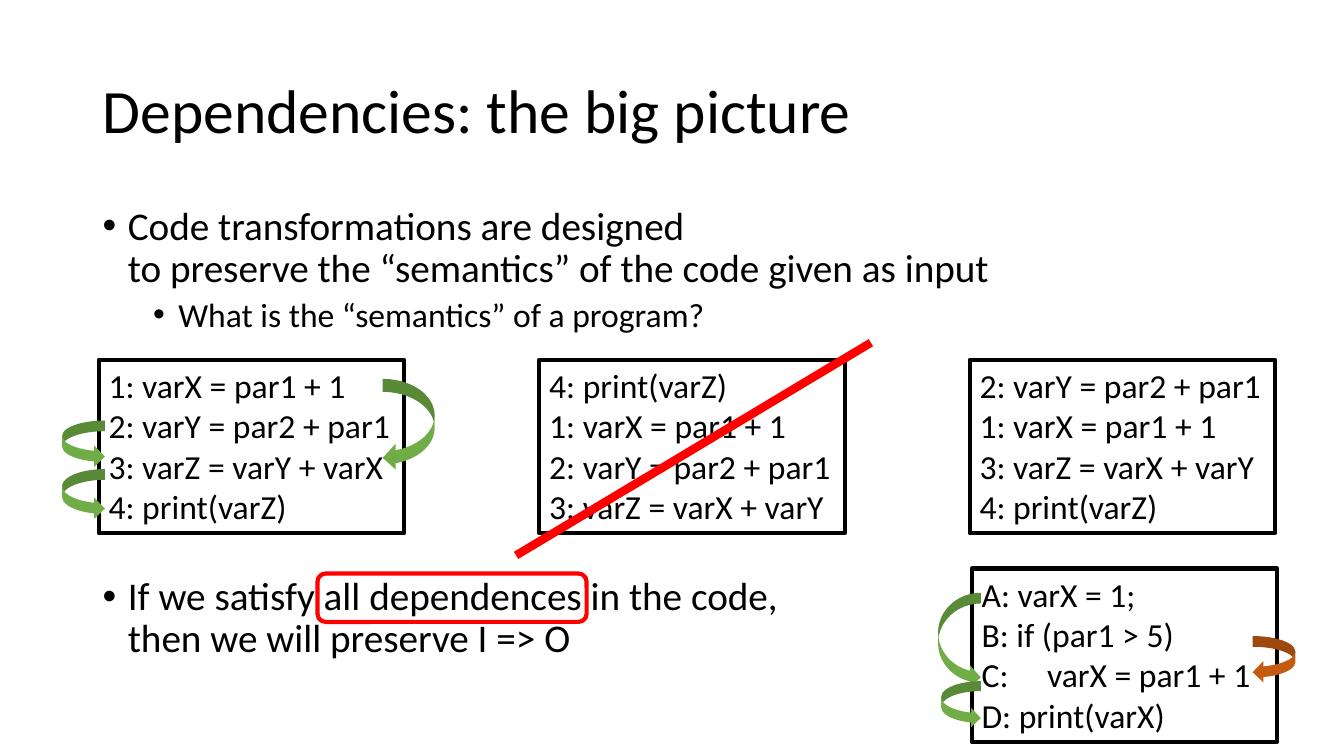
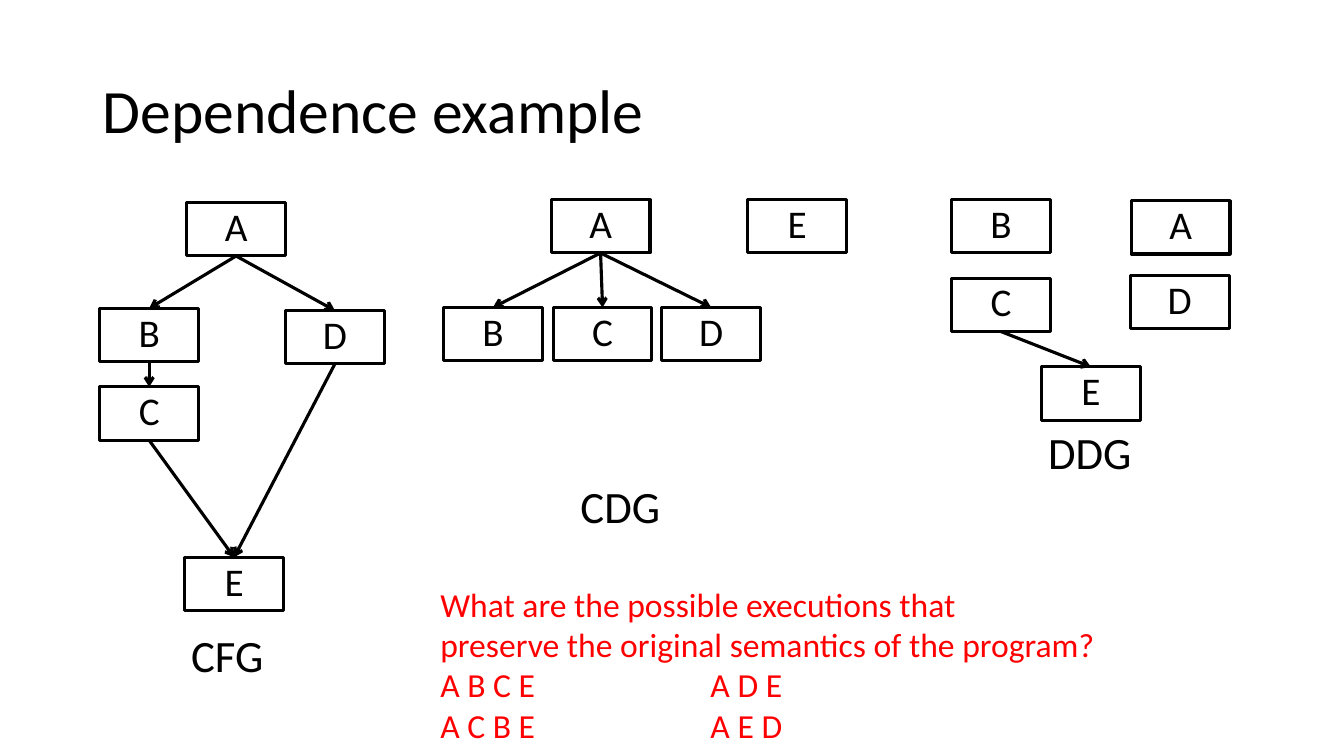
from dataclasses import dataclass

from lxml import etree
from pptx import Presentation
from pptx import util as u
from pptx.dml.color import RGBColor
from pptx.enum import shapes, text
from pptx.oxml.ns import qn


@dataclass(frozen=True)
class Theme:
    font: str = "Calibri"
    ink: str = "000000"
    accent: str = "FF0000"
    data: str = "70AD47"
    control: str = "C55A11"
    title: float = 44
    label: float = 32
    body: float = 28
    code: float = 24
    thin: float = 2.25
    medium: float = 3
    thick: float = 6


@dataclass(frozen=True)
class Box:
    """A rectangle in cells of the slide grid."""
    left: float
    top: float
    width: float
    height: float

    def share(self, x, y, width, height):
        return Box(self.left + x * self.width, self.top + y * self.height,
                   width * self.width, height * self.height)

    def emu(self):
        return [cells(n) for n in (self.left, self.top, self.width, self.height)]


THEME = Theme()
COLUMNS, ROWS = 40, 22.5
CELL = u.Inches(13.333) / COLUMNS
TITLE = Box(2.76, 1.2, 34.5, 4.35)
BODY = Box(2.76, 6, 34.5, 14.28)
CODE_WIDTH, CODE_HEIGHT = 9.09, 5.16
NODE_WIDTH, NODE_HEIGHT = 2.94, 1.59
LABEL_WIDTH, LABEL_HEIGHT = 3.12, 1.92
KIND = shapes.MSO_SHAPE


def cells(count):
    return u.Emu(round(count * CELL))


def color(value):
    return RGBColor.from_string(value)


# Text
def write(frame, lines, size, ink=THEME.ink, align="LEFT", anchor="TOP",
          spacing=None, wrap=True, tab=None):
    frame.word_wrap = wrap
    frame.vertical_anchor = getattr(text.MSO_ANCHOR, anchor)
    for index, line in enumerate(lines):
        paragraph = frame.paragraphs[0] if index == 0 else frame.add_paragraph()
        paragraph.text = line
        paragraph.alignment = getattr(text.PP_ALIGN, align)
        if spacing:
            paragraph.line_spacing = spacing
        for run in paragraph.runs:
            run.font.name = THEME.font
            run.font.size = u.Pt(size)
            run.font.color.rgb = color(ink)
        if tab and "\t" in line:
            stops = etree.SubElement(paragraph._p.get_or_add_pPr(), qn("a:tabLst"))
            etree.SubElement(stops, qn("a:tab"), pos=str(cells(tab)), algn="l")


def add_text(slide, box, lines, size, **style):
    shape = slide.shapes.add_textbox(*box.emu())
    write(shape.text_frame, lines, size, **style)
    return shape


def bullet(paragraph, size, level, before):
    for run in paragraph.runs:
        run.font.size = u.Pt(size)
    paragraph.space_before = u.Pt(before)
    properties = paragraph._p.get_or_add_pPr()
    properties.set("marL", str(cells(0.75 + 1.5 * level)))
    properties.set("indent", str(-cells(0.75)))
    etree.SubElement(properties, qn("a:buFont"), typeface="Arial")
    etree.SubElement(properties, qn("a:buChar"), char="•")


# Shapes and lines
def add_shape(slide, kind, box, fill=None, outline=None, width=THEME.medium):
    shape = slide.shapes.add_shape(kind, *box.emu())
    shape.shadow.inherit = False
    if fill:
        shape.fill.solid()
        shape.fill.fore_color.rgb = color(fill)
    else:
        shape.fill.background()
    if outline:
        shape.line.color.rgb = color(outline)
        shape.line.width = u.Pt(width)
    else:
        shape.line.fill.background()
    return shape


def add_line(slide, start=(0, 0), end=(0, 0), ink=THEME.ink, width=THEME.thin,
             arrow=False):
    line = slide.shapes.add_connector(
        shapes.MSO_CONNECTOR.STRAIGHT, *[cells(n) for n in (*start, *end)])
    line.line.color.rgb = color(ink)
    line.line.width = u.Pt(width)
    properties = line._element.spPr
    if arrow:
        etree.SubElement(properties.find(qn("a:ln")), qn("a:tailEnd"), type="arrow")
    etree.SubElement(properties, qn("a:effectLst"))
    return line


# Regions
def new_slide(presentation, title):
    slide = presentation.slides.add_slide(presentation.slide_layouts[6])
    add_text(slide, TITLE, [title], THEME.title, anchor="MIDDLE", spacing=0.9)
    return slide


def bullet_list(slide, box, items):
    shape = add_text(slide, box, [item[0] for item in items], THEME.body, spacing=0.9)
    for paragraph, (_, *style) in zip(shape.text_frame.paragraphs, items):
        bullet(paragraph, *style)


def code_block(slide, left, top, lines):
    box = Box(left, top, CODE_WIDTH, CODE_HEIGHT)
    shape = add_shape(slide, KIND.RECTANGLE, box, outline=THEME.ink)
    write(shape.text_frame, lines, THEME.code, tab=1.95)
    return box


def dependence_arrows(slide, box, arrows):
    """Each arrow is its place as shares of the code box, colour and flip."""
    for place, fill, flipped in arrows:
        arrow = add_shape(slide, KIND.CURVED_RIGHT_ARROW, box.share(*place), fill=fill)
        if flipped:
            arrow._element.spPr.get_or_add_xfrm().set("flipH", "1")


def graph(slide, left, top, name, name_at, nodes, edges):
    """Nodes and name are placed in node widths and node heights."""
    unit = Box(left, top, NODE_WIDTH, NODE_HEIGHT)
    drawn = {}
    for letter, (x, y) in nodes.items():
        node = add_shape(slide, KIND.RECTANGLE, unit.share(x, y, 1, 1),
                         outline=THEME.ink, width=THEME.thin)
        write(node.text_frame, [letter], THEME.body, align="CENTER", spacing=0.9)
        drawn[letter] = node
    for source, target in edges:
        edge = add_line(slide, arrow=True)
        edge.begin_connect(drawn[source], 2)
        edge.end_connect(drawn[target], 0)
    center = unit.share(*name_at, 0, 0)
    add_text(slide, Box(center.left - LABEL_WIDTH / 2, center.top,
                        LABEL_WIDTH, LABEL_HEIGHT),
             [name], THEME.label, align="CENTER", wrap=False)


# Slides
def big_picture(presentation):
    slide = new_slide(presentation, "Dependencies: the big picture")
    bullet_list(slide, BODY, [
        ("Code transformations are designed\n"
         "to preserve the “semantics” of the code given as input", THEME.body, 0, 10),
        ("What is the “semantics” of a program?", THEME.code, 1, 5),
        ("If we satisfy all dependences in the code,\n"
         "then we will preserve I => O", THEME.body, 0, 173)])

    # Orders of the same program
    set_x, set_y = "1: varX = par1 + 1", "2: varY = par2 + par1"
    set_z, show = "3: varZ = varX + varY", "4: print(varZ)"
    row = 10.71
    first = code_block(slide, 2.94, row, [set_x, set_y, "3: varZ = varY + varX", show])
    code_block(slide, 16.05, row, [show, set_x, set_y, set_z])
    code_block(slide, 28.86, row, [set_y, set_x, set_z, show])
    add_line(slide, (15.36, 16.53), (25.92, 10.2), THEME.accent, THEME.thick)
    add_shape(slide, KIND.ROUNDED_RECTANGLE, Box(9.45, 17.07, 8.01, 1.44),
              outline=THEME.accent)
    dependence_arrows(slide, first, [
        ((0.93, 0.11, 0.17, 0.53), THEME.data, True),
        ((-0.12, 0.35, 0.14, 0.27), THEME.data, False),
        ((-0.12, 0.63, 0.14, 0.29), THEME.data, False)])

    # Program with a branch
    branch = code_block(slide, 28.92, 16.92, [
        "A: varX = 1;", "B: if (par1 > 5)", "C:\tvarX = par1 + 1", "D: print(varX)"])
    dependence_arrows(slide, branch, [
        ((-0.11, 0.14, 0.14, 0.55), THEME.data, False),
        ((-0.1, 0.65, 0.13, 0.27), THEME.data, False),
        ((0.92, 0.39, 0.14, 0.27), THEME.control, True)])


def example(presentation):
    slide = new_slide(presentation, "Dependence example")
    graph(slide, 2.97, 6.03, "CFG", (1.29, 7.87),
          {"A": (0.88, 0), "B": (0, 1.98), "C": (0, 3.45),
           "D": (1.88, 2.02), "E": (0.86, 6.64)},
          ["AB", "BC", "CE", "AD", "DE"])
    graph(slide, 13.2, 5.94, "CDG", (1.79, 5.13),
          {"A": (1.09, 0), "B": (0, 2.02), "C": (1.11, 2.02),
           "D": (2.21, 2.02), "E": (3.08, 0)},
          ["AB", "AC", "AD"])
    graph(slide, 28.32, 5.94, "DDG", (1.4, 4.13),
          {"A": (1.82, 0.02), "B": (0, 0), "C": (0, 1.47),
           "D": (1.81, 1.42), "E": (0.91, 3.13)},
          ["CE"])
    add_text(slide, Box(12.81, 17.22, 20.31, 5.16), [
        "What are the possible executions that\n"
        "preserve the original semantics of the program?",
        "A B C E\tA D E", "A C B E\tA E D"],
        THEME.code, ink=THEME.accent, tab=8.04)


presentation = Presentation()
presentation.slide_width, presentation.slide_height = cells(COLUMNS), cells(ROWS)
big_picture(presentation)
example(presentation)
presentation.save("out.pptx")
